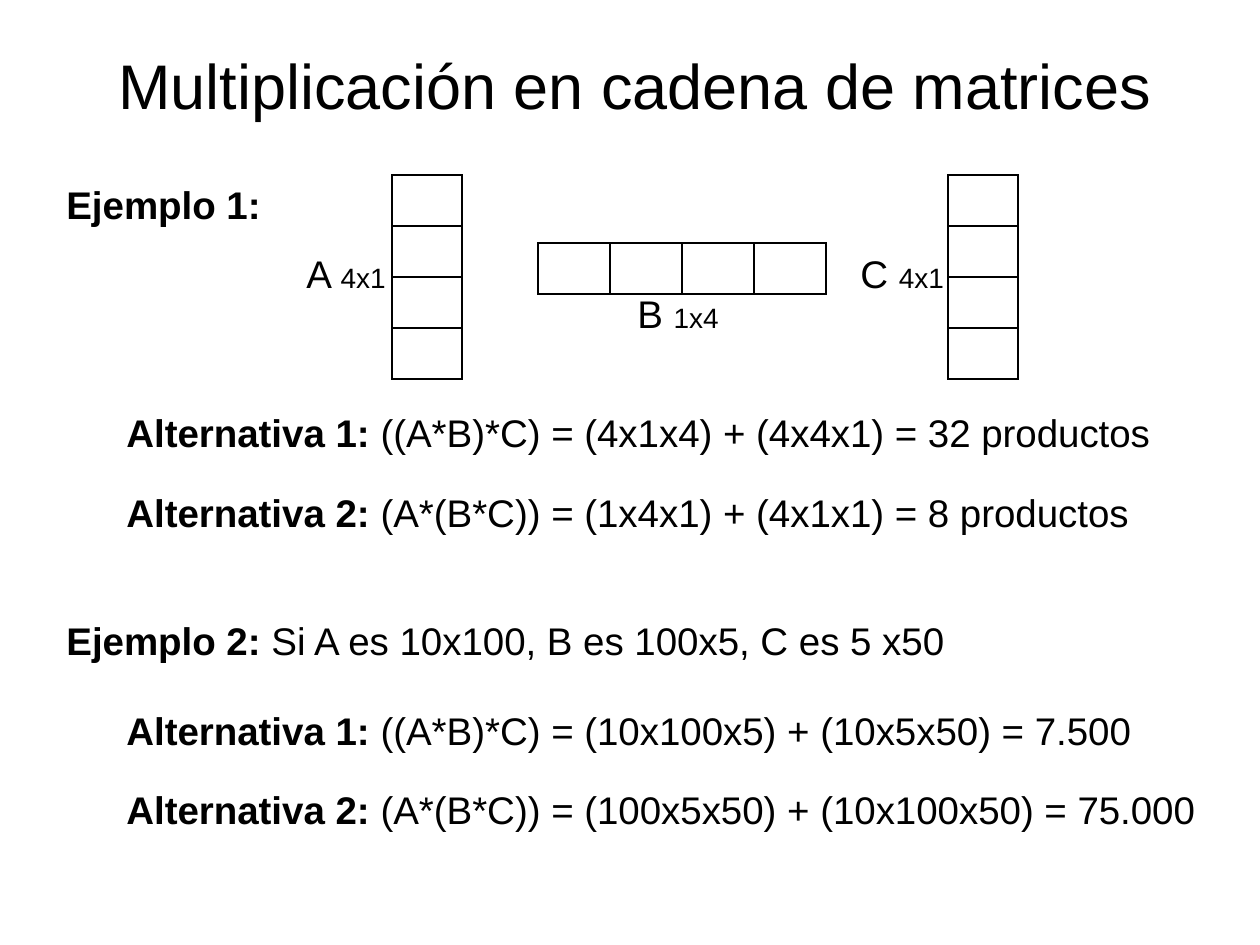
from lxml.etree import SubElement
from pptx import Presentation
from pptx.dml.color import RGBColor
from pptx.enum.text import MSO_ANCHOR as Anchor, MSO_AUTO_SIZE as AutoSize, PP_ALIGN as Align
from pptx.oxml.ns import qn
from pptx.util import Pt

PX = 914400 / 126
COLORS = {"ink": "000000"}
ROW_HEIGHT = 51


def px(*lengths):
    return [round(length * PX) for length in lengths]


def write(frame, lead, rest="", size=22, rest_size=22, bold=False, align=Align.JUSTIFY, anchor=Anchor.TOP):
    frame.word_wrap = True
    frame.auto_size = AutoSize.NONE
    frame.vertical_anchor = anchor
    paragraph = frame.paragraphs[0]
    paragraph.alignment = align
    for words, points, heavy in ((lead, size, bold), (rest, rest_size, False)):
        if words:
            run = paragraph.add_run()
            run.text = words
            run.font.name = "Arial"
            run.font.size = Pt(points)
            run.font.bold = heavy
            run.font.color.rgb = RGBColor.from_string(COLORS["ink"])


deck = Presentation()
deck.slide_width, deck.slide_height = px(1260, 945)
slide = deck.slides.add_slide(deck.slide_layouts[5])

heading = slide.shapes.title
heading.left, heading.top, heading.width, heading.height = px(64, 26, 1142, 102)
write(heading.text_frame, "Multiplicación en cadena de matrices", size=36, align=Align.CENTER, anchor=Anchor.BOTTOM)

statements = [
    (54, 175, 229, "Ejemplo 1:", ""),
    (114, 403, 1152, "Alternativa 1:", " ((A*B)*C) = (4x1x4) + (4x4x1) = 32 productos"),
    (114, 483, 1152, "Alternativa 2:", " (A*(B*C)) = (1x4x1) + (4x1x1) = 8 productos"),
    (54, 611, 1152, "Ejemplo 2: ", "Si A es 10x100, B es 100x5, C es 5 x50"),
    (114, 701, 1091, "Alternativa 1:", " ((A*B)*C) = (10x100x5) + (10x5x50) = 7.500"),
    (114, 780, 1152, "Alternativa 2:", " (A*(B*C)) = (100x5x50) + (10x100x50) = 75.000"),
]
for left, top, width, lead, rest in statements:
    statement = slide.shapes.add_textbox(*px(left, top, width, 59))
    write(statement.text_frame, lead, rest, bold=True)

matrices = [
    ("A ", 4, 1, 392, 175, 70, 294, 244),
    ("B ", 1, 4, 538, 243, 72, 625, 284),
    ("C ", 4, 1, 948, 175, 70, 848, 244),
]
for letter, rows, columns, left, top, column_width, label_left, label_top in matrices:
    matrix = slide.shapes.add_table(
        rows, columns, *px(left, top, columns * column_width, rows * ROW_HEIGHT)
    ).table
    matrix.first_row = matrix.horz_banding = False
    for column in matrix.columns:
        column.width = px(column_width)[0]
    for row in matrix.rows:
        row.height = px(ROW_HEIGHT)[0]
    for cell in matrix.iter_cells():
        cell.margin_top = cell.margin_bottom = 0
        properties = cell._tc.get_or_add_tcPr()
        for side in ("a:lnL", "a:lnR", "a:lnT", "a:lnB"):
            border = SubElement(properties, qn(side), w=str(Pt(1)))
            SubElement(SubElement(border, qn("a:solidFill")), qn("a:srgbClr"), val=COLORS["ink"])
        cell.fill.background()
    label = slide.shapes.add_textbox(*px(label_left, label_top, 118, 59))
    write(label.text_frame, letter, f"{rows}x{columns}", rest_size=16)

deck.save("out.pptx")
